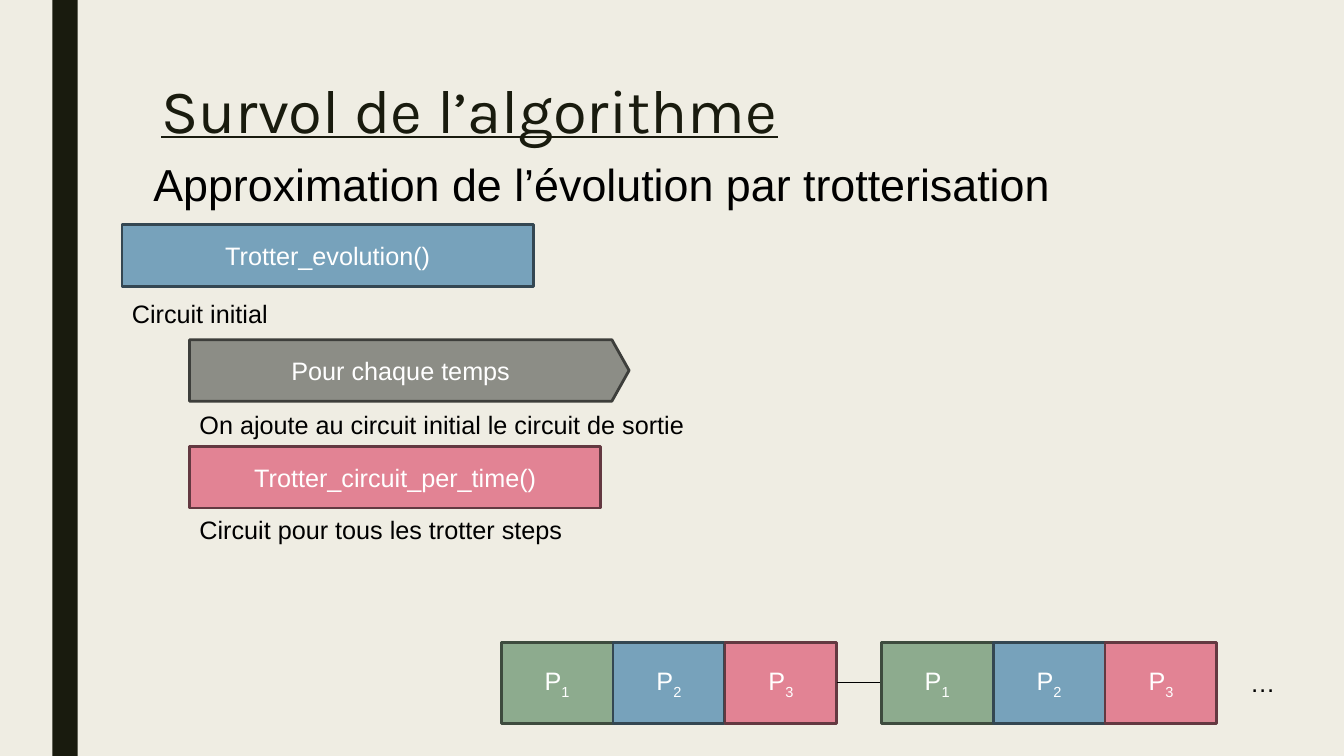
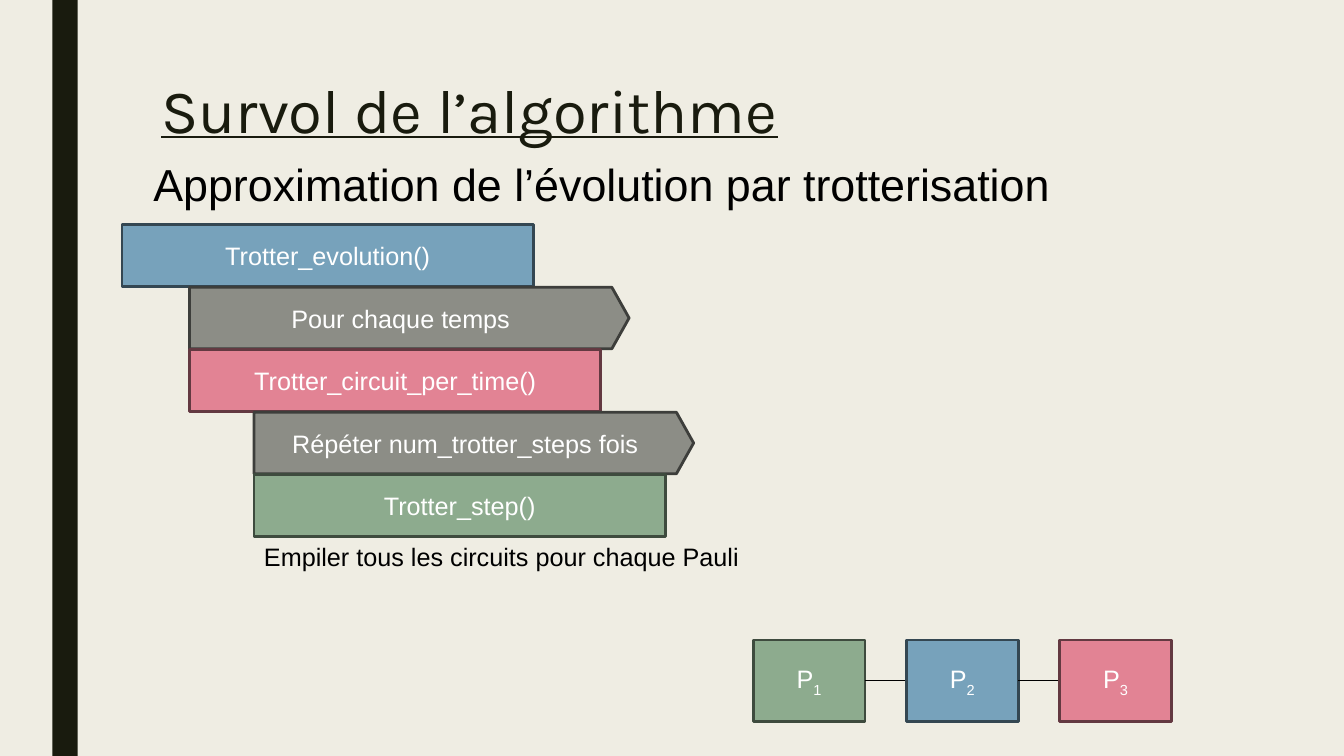
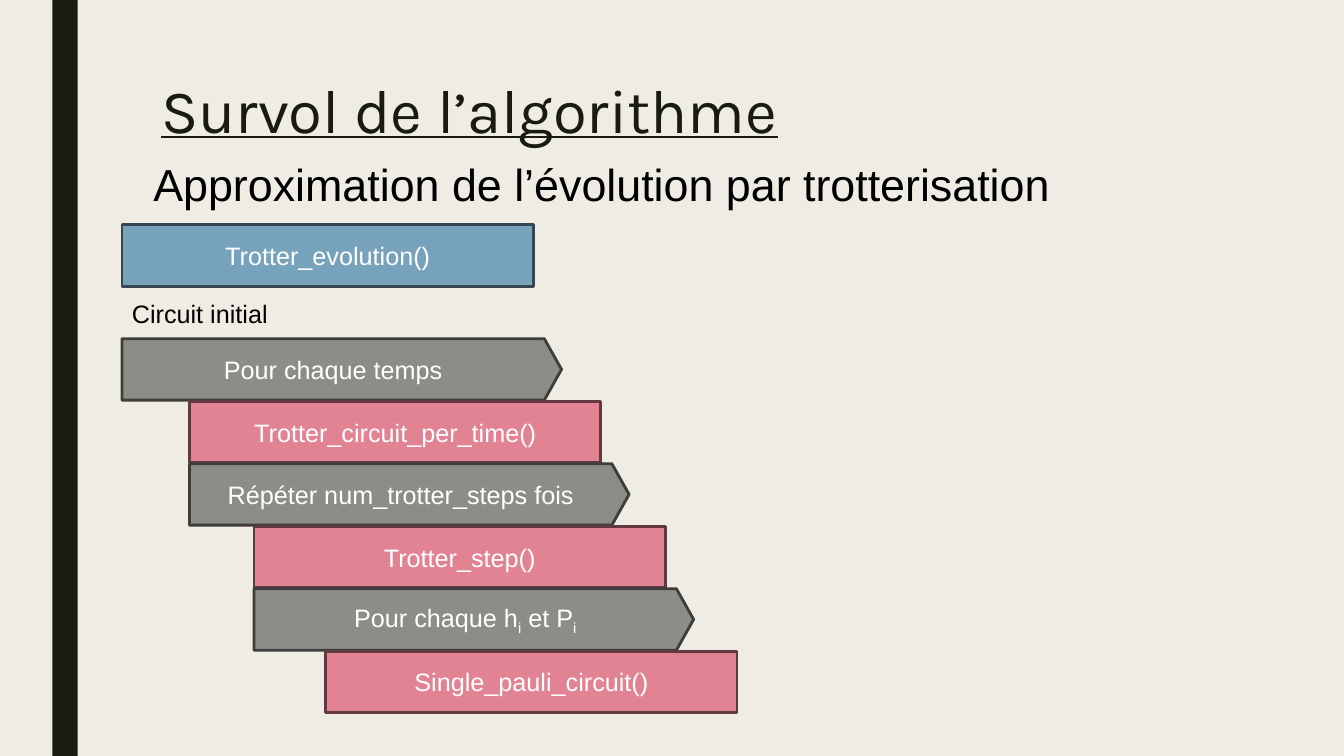
from lxml.etree import SubElement
from pptx import Presentation
from pptx.dml.color import RGBColor
from pptx.enum.shapes import MSO_CONNECTOR, MSO_SHAPE
from pptx.enum.text import MSO_ANCHOR, MSO_AUTO_SIZE, PP_ALIGN
from pptx.oxml.ns import qn
from pptx.util import Inches, Pt

SLIDE_WIDTH, SLIDE_HEIGHT = 13.33, 7.5
COLORS = {
    "background": "EFEDE3", "dark": "191B0E", "black": "000000", "white": "FFFFFF",
    "blue": "77A2BB", "blue line": "344752",
    "gray": "8C8D86", "gray line": "3D3E3B",
    "pink": "E28394", "pink line": "633941",
    "green": "8DAB8E", "green line": "3E4B3E",
}
INDENTS = (1.21, 1.88, 2.52, 3.23)
FIRST_STEP_TOP, STEP_HEIGHT, STEP_PITCH = 2.23, 0.61, 0.62
CALL_WIDTH, LOOP_WIDTH = 4.08, 4.36
PAULI_WIDTH, PAULI_HEIGHT = 1.11, 0.81
PAULI_COLORS = ("green", "blue", "pink")

EVOLUTION = ("blue", 0, "Trotter_evolution()")
PER_TIME = ("pink", 1, "Trotter_circuit_per_time()")
EACH_TIME = "Pour chaque temps"
REPEAT = "Répéter num_trotter_steps fois"


def rgb(name):
    return RGBColor.from_string(COLORS[name])


def place(shape, left, top, width, height):
    shape.left, shape.top = Inches(left), Inches(top)
    shape.width, shape.height = Inches(width), Inches(height)


def add_runs(paragraph, parts, color, size=18, font="Arial", underline=None):
    """Add the parts as runs; every second part is a subscript."""
    for index, text in enumerate(parts):
        run = paragraph.add_run()
        run.text = text
        run.font.name, run.font.size = font, Pt(size)
        run.font.underline = underline
        run.font.color.rgb = rgb(color)
        if index % 2:
            run.font._element.set("baseline", "-25000")


def add_block(slide, kind, box, color, parts):
    shape = slide.shapes.add_shape(kind, *map(Inches, box))
    shape.shadow.inherit = False
    shape.fill.solid()
    shape.fill.fore_color.rgb = rgb(color)
    shape.line.color.rgb = rgb(color + " line")
    shape.line.width = Pt(2)
    shape.text_frame.vertical_anchor = MSO_ANCHOR.MIDDLE
    paragraph = shape.text_frame.paragraphs[0]
    paragraph.alignment = PP_ALIGN.CENTER
    add_runs(paragraph, parts, "white")
    return shape


def add_steps(slide, top, *steps):
    """Stack steps (color, depth, text parts) downwards; gray ones are loops."""
    for row, (color, depth, *parts) in enumerate(steps):
        is_loop = color == "gray"
        kind = MSO_SHAPE.RIGHT_ARROW if is_loop else MSO_SHAPE.RECTANGLE
        width = LOOP_WIDTH if is_loop else CALL_WIDTH
        box = (INDENTS[depth], top + row * STEP_PITCH, width, STEP_HEIGHT)
        shape = add_block(slide, kind, box, color, parts)
        if is_loop:
            shape.adjustments[0], shape.adjustments[1] = 1, 0.28


def add_caption(slide, left, top, width, text):
    box = slide.shapes.add_textbox(*map(Inches, (left, top, width, 0.4)))
    box.text_frame.word_wrap = False
    box.text_frame.auto_size = MSO_AUTO_SIZE.SHAPE_TO_FIT_TEXT
    add_runs(box.text_frame.paragraphs[0], [text], "black")


def add_wire(slide, start, end, top):
    middle = Inches(top + PAULI_HEIGHT / 2)
    wire = slide.shapes.add_connector(
        MSO_CONNECTOR.STRAIGHT, Inches(start), middle, Inches(end), middle)
    wire.line.color.rgb = rgb("black")
    wire.line.width = Pt(0.75)
    SubElement(wire._element.spPr, qn("a:effectLst"))


def add_pauli_circuit(slide, left, top, pitch=PAULI_WIDTH):
    """Draw the three Pauli gates, wired where there is a gap; return the right edge."""
    for index, color in enumerate(PAULI_COLORS):
        gate_left = left + index * pitch
        if index and pitch > PAULI_WIDTH:
            add_wire(slide, gate_left - pitch + PAULI_WIDTH, gate_left, top)
        add_block(slide, MSO_SHAPE.RECTANGLE, (gate_left, top, PAULI_WIDTH, PAULI_HEIGHT),
                  color, ("P", str(index + 1)))
    return gate_left + PAULI_WIDTH


def set_up_layout(presentation):
    """Set the background and the placeholder positions; return the layout."""
    fill = presentation.slide_master.background.fill
    fill.solid()
    fill.fore_color.rgb = rgb("background")
    layout = presentation.slide_layouts[1]
    title, body = layout.placeholders[0], layout.placeholders[1]
    place(title, 1.5, 0.75, 10.5, 1.62)
    place(body, 1.42, 1.56, 10.5, 0.61)
    for placeholder in (title, body):
        placeholder.text_frame.vertical_anchor = MSO_ANCHOR.TOP
        placeholder.text_frame.auto_size = MSO_AUTO_SIZE.NONE
    return layout


def add_side_band(presentation, slide):
    """Draw the dark band and move it to the master, which all slides show."""
    band = slide.shapes.add_shape(
        MSO_SHAPE.RECTANGLE, *map(Inches, (0.52, 0, 0.25, SLIDE_HEIGHT)))
    band.shadow.inherit = False
    band.fill.solid()
    band.fill.fore_color.rgb = rgb("dark")
    band.line.fill.background()
    presentation.slide_master.shapes._spTree.insert(2, band._element)


def add_overview_slide(presentation, layout):
    """Add a slide with the common title, subtitle and first step."""
    slide = presentation.slides.add_slide(layout)
    title = slide.shapes.title.text_frame.paragraphs[0]
    title.alignment, title.line_spacing = PP_ALIGN.LEFT, 0.89
    add_runs(title, ["Survol de l’algorithme"], "dark", 44, "Karla", True)

    subtitle = slide.placeholders[1].text_frame.paragraphs[0]
    properties = subtitle._element.get_or_add_pPr()
    properties.set("marL", "0")
    properties.set("indent", "0")
    SubElement(properties, qn("a:buNone"))
    subtitle.line_spacing, subtitle.space_before = 0.9, Pt(0)
    add_runs(subtitle, ["Approximation de l’évolution par trotterisation"], "black", 32)

    add_steps(slide, FIRST_STEP_TOP, EVOLUTION)
    return slide


def add_initial_circuit(slide):
    add_caption(slide, INDENTS[0], 2.91, 1.56, "Circuit initial")


def fill_time_slide(slide):
    add_initial_circuit(slide)
    add_steps(slide, 3.37, ("gray", 1, EACH_TIME))
    add_caption(slide, INDENTS[1], 4.01, 5.05,
                "On ajoute au circuit initial le circuit de sortie")
    add_steps(slide, 4.43, PER_TIME)
    add_caption(slide, INDENTS[1], 5.05, 3.9, "Circuit pour tous les trotter steps")
    top, second_left = 6.37, 8.74
    first_right = add_pauli_circuit(slide, 4.97, top)
    add_wire(slide, first_right, second_left, top)
    add_pauli_circuit(slide, second_left, top)
    add_caption(slide, 12.3, 6.57, 0.45, "…")


def fill_step_slide(slide):
    add_steps(slide, FIRST_STEP_TOP + STEP_PITCH,
              ("gray", 1, EACH_TIME), PER_TIME,
              ("gray", 2, REPEAT), ("green", 2, "Trotter_step()"))
    add_caption(slide, INDENTS[2], 5.32, 4.96, "Empiler tous les circuits pour chaque Pauli")
    add_pauli_circuit(slide, 7.47, 6.35, pitch=1.52)


def fill_pauli_slide(slide):
    add_initial_circuit(slide)
    add_steps(slide, 3.36,
              ("gray", 0, EACH_TIME), PER_TIME,
              ("gray", 1, REPEAT), ("pink", 2, "Trotter_step()"),
              ("gray", 2, "Pour chaque h", "i", " et P", "i"),
              ("pink", 3, "Single_pauli_circuit()"))


def main():
    presentation = Presentation()
    presentation.slide_width = Inches(SLIDE_WIDTH)
    presentation.slide_height = Inches(SLIDE_HEIGHT)
    layout = set_up_layout(presentation)
    for fill_slide in (fill_time_slide, fill_step_slide, fill_pauli_slide):
        fill_slide(add_overview_slide(presentation, layout))
    add_side_band(presentation, presentation.slides[0])
    presentation.save("out.pptx")


if __name__ == "__main__":
    main()
